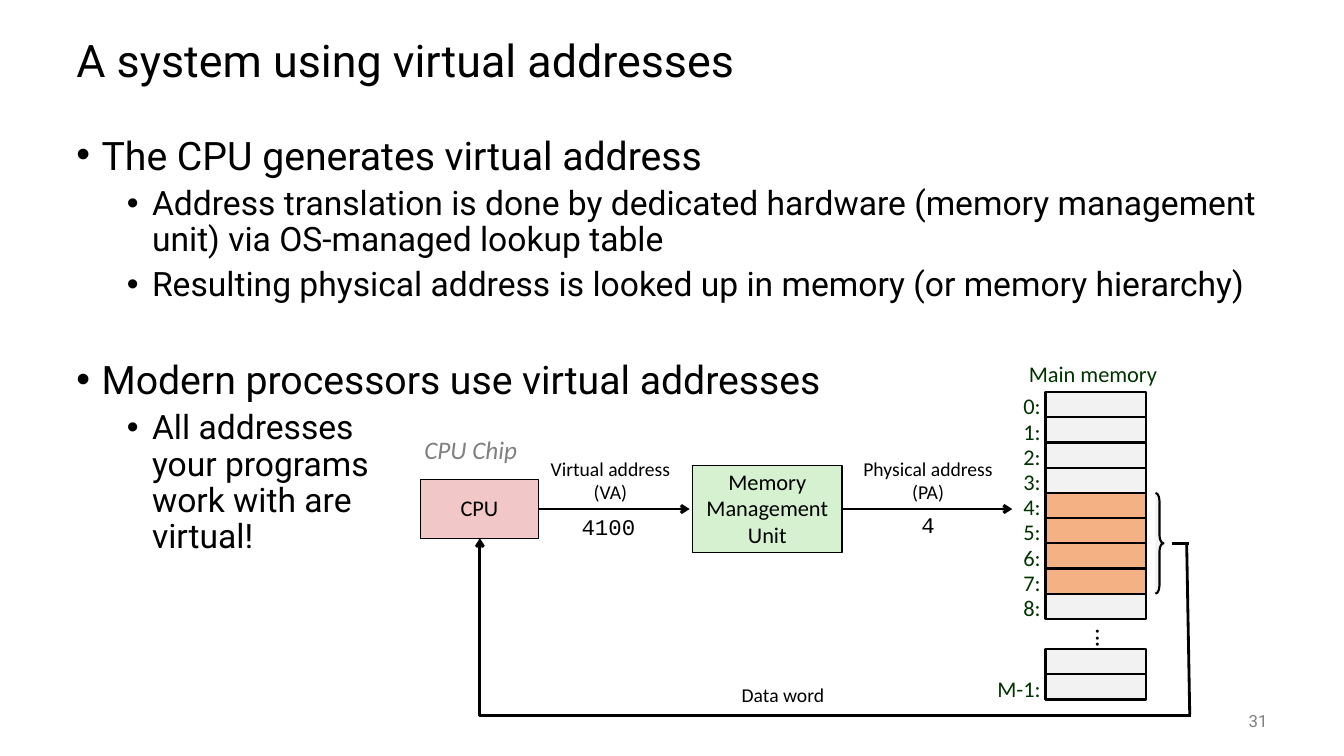
from dataclasses import dataclass

from lxml import etree
from pptx import Presentation
from pptx.dml.color import RGBColor
from pptx.enum.shapes import MSO_CONNECTOR, MSO_SHAPE
from pptx.enum.text import MSO_ANCHOR, PP_ALIGN
from pptx.oxml.ns import qn
from pptx.util import Inches, Pt

LEFT, CENTER, RIGHT = PP_ALIGN.LEFT, PP_ALIGN.CENTER, PP_ALIGN.RIGHT
TOP, MIDDLE = MSO_ANCHOR.TOP, MSO_ANCHOR.MIDDLE
RECT, BRACE = MSO_SHAPE.RECTANGLE, MSO_SHAPE.RIGHT_BRACE
STRAIGHT, ELBOW = MSO_CONNECTOR.STRAIGHT, MSO_CONNECTOR.ELBOW


@dataclass(frozen=True)
class Theme:
    sans: str = "Roboto"
    label: str = "Calibri"
    mono: str = "Courier New"
    ink: str = "000000"
    gray: str = "808080"
    memory_ink: str = "003300"
    cell: str = "F2F2F2"
    data: str = "F4B183"
    cpu: str = "F1C7C7"
    mmu: str = "D5F1CF"
    title: int = 32
    bullet: int = 28
    sub_bullet: int = 24
    chip: int = 18
    node: int = 16
    arrow: int = 14
    number: int = 12


T = Theme()


def set_font(p, size, name, color, italic=None):
    for r in p.runs:
        r.font.size, r.font.name, r.font.italic = Pt(size), name, italic
        r.font.color.rgb = RGBColor.from_string(color)


def fill_text(tf, text, size, name=T.label, color=T.ink, align=CENTER,
              anchor=MIDDLE, spacing=0.98, wrap=False, italic=None):
    tf.text = text
    tf.word_wrap = wrap
    tf.vertical_anchor = anchor
    for p in tf.paragraphs:
        p.alignment, p.line_spacing = align, spacing
        set_font(p, size, name, color, italic)


def add_text(s, x, y, w, h, text, size, **style):
    tf = s.shapes.add_textbox(Inches(x), Inches(y), Inches(w), Inches(h)).text_frame
    fill_text(tf, text, size, **style)
    return tf


def add_box(s, x, y, w, h, fill, line=1.5, kind=RECT, text=""):
    sp = s.shapes.add_shape(kind, Inches(x), Inches(y), Inches(w), Inches(h))
    sp.shadow.inherit = False
    sp.fill.solid()
    sp.fill.fore_color.rgb = RGBColor.from_string(fill)
    sp.line.color.rgb = RGBColor.from_string(T.ink)
    sp.line.width = Pt(line)
    if text:
        fill_text(sp.text_frame, text, T.node)
    return sp


def add_line(s, x1, y1, x2, y2, kind=STRAIGHT, arrow=False):
    c = s.shapes.add_connector(kind, Inches(x1), Inches(y1), Inches(x2), Inches(y2))
    c.line.color.rgb = RGBColor.from_string(T.ink)
    c.line.width = Pt(2)
    sp_pr = c._element.spPr
    if kind == ELBOW:
        sp_pr.find(qn("a:prstGeom")).set("prst", "bentConnector2")
    if arrow:
        etree.SubElement(c.line._get_or_add_ln(), qn("a:tailEnd"), type="arrow")
    etree.SubElement(sp_pr, qn("a:effectLst"))


def add_title(s, x, y, w, h):
    add_text(s, x, y, w, h, "A system using virtual addresses", T.title,
             name=T.sans, align=LEFT, spacing=0.9, wrap=True)


def add_bullets(s, x, y, w, h):
    items = [
        (0, 0, "The CPU generates virtual address"),
        (1, 6, "Address translation is done by dedicated hardware "
               "(memory management unit) via OS-managed lookup table"),
        (1, 6, "Resulting physical address is looked up in memory (or memory hierarchy)"),
        (0, 37, "Modern processors use virtual addresses"),
        (1, 6, "All addresses\vyour programs\vwork with are\vvirtual!"),
    ]
    tf = s.shapes.add_textbox(Inches(x), Inches(y), Inches(w), Inches(h)).text_frame
    tf.word_wrap = True
    for i, (level, before, text) in enumerate(items):
        p = tf.add_paragraph() if i else tf.paragraphs[0]
        p.text = text
        p.level = level
        p.space_before = Pt(before)
        p.line_spacing = 0.9 if level else 1.0
        p_pr = p._p.get_or_add_pPr()
        p_pr.set("marL", str(Inches(0.25 + 0.5 * level)))
        p_pr.set("indent", str(Inches(-0.25)))
        etree.SubElement(p_pr, qn("a:buFont"), typeface="Arial")
        etree.SubElement(p_pr, qn("a:buChar"), char="•")
        set_font(p, T.sub_bullet if level else T.bullet, T.sans, T.ink)


def add_memory(s, x, y):
    row, cell_x = 0.25, x + 0.59
    style = dict(color=T.memory_ink, anchor=TOP, spacing=0.88)
    add_text(s, x + 0.3, y, 1.52, 0.33, "Main memory", T.node, **style)
    cells = [(0.33 + row * i, f"{i}:", T.data if 4 <= i <= 7 else T.cell)
             for i in range(9)]
    cells += [(2.88, "", T.cell), (2.88 + row, "M-1:", T.cell)]
    for dy, label, fill in cells:
        add_box(s, cell_x, y + dy, 1, row, fill)
        if label:
            add_text(s, x, y + dy - 0.01, 0.64, 0.33, label, T.node,
                     align=RIGHT, **style)
    dots = add_text(s, x + 0.68, y + 2.58, 1, row, "...", T.chip)
    dots._txBody.bodyPr.set("vert", "eaVert")
    brace = add_box(s, x + 1.68, y + 1.33, 0.08, 4 * row, T.cell, kind=BRACE)
    brace.adjustments[0] = 1
    brace.adjustments[1] = 0.5


def add_translation(s, x, y):
    mid = y + 0.79
    add_text(s, x, y, 1.16, 0.4, "CPU Chip", T.chip, color=T.gray, align=LEFT,
             anchor=TOP, spacing=1.0, italic=True)
    add_box(s, x + 0.06, mid - 0.29, 1.17, 0.58, T.cpu, 1, text="CPU")
    add_box(s, x + 2.76, mid - 0.43, 1.48, 0.86, T.mmu, 1,
            text="Memory\vManagement\vUnit")
    for start, end, label_x, label_w, label, value_x, value_y, value_w, value in [
        (1.23, 2.73, 1.23, 1.43, "Virtual address\n(VA)", 1.56, -0.01, 0.74, "4100"),
        (4.24, 5.93, 4.33, 1.53, "Physical address\n(PA)", 4.93, -0.03, 0.34, "4"),
    ]:
        add_line(s, x + start, mid, x + end, mid, arrow=True)
        add_text(s, x + label_x, mid - 0.56, label_w, 0.57, label, T.arrow)
        add_text(s, x + value_x, mid + value_y, value_w, 0.37, value, T.node,
                 name=T.mono, align=LEFT, anchor=TOP, spacing=1.0)


def add_data_return(s, x, y):
    add_line(s, x + 6.86, y + 0.05, x + 7.03, y + 0.05)
    add_line(s, x + 7.01, y + 0.06, x + 7.04, y + 1.75)
    add_line(s, x + 7.05, y + 1.76, x, y, ELBOW, arrow=True)
    add_text(s, x + 2.48, y + 1.4, 1.05, 0.33, "Data word", T.arrow)


def add_number(s, x, y, w, h):
    add_text(s, x, y, w, h, "31", T.number, name=T.sans, color=T.gray,
             align=RIGHT, spacing=1.0, wrap=True)


def main():
    prs = Presentation()
    prs.slide_width, prs.slide_height = Inches(13.33), Inches(7.5)
    s = prs.slides.add_slide(prs.slide_layouts[6])
    add_title(s, 0.66, 0.25, 12, 0.75)
    add_bullets(s, 0.66, 1.25, 12, 4.9)
    add_memory(s, 9.78, 3.56)
    add_translation(s, 4.11, 4.26)
    add_data_return(s, 4.76, 5.34)
    add_number(s, 11.67, 6.95, 1, 0.4)
    prs.save("out.pptx")


if __name__ == "__main__":
    main()
